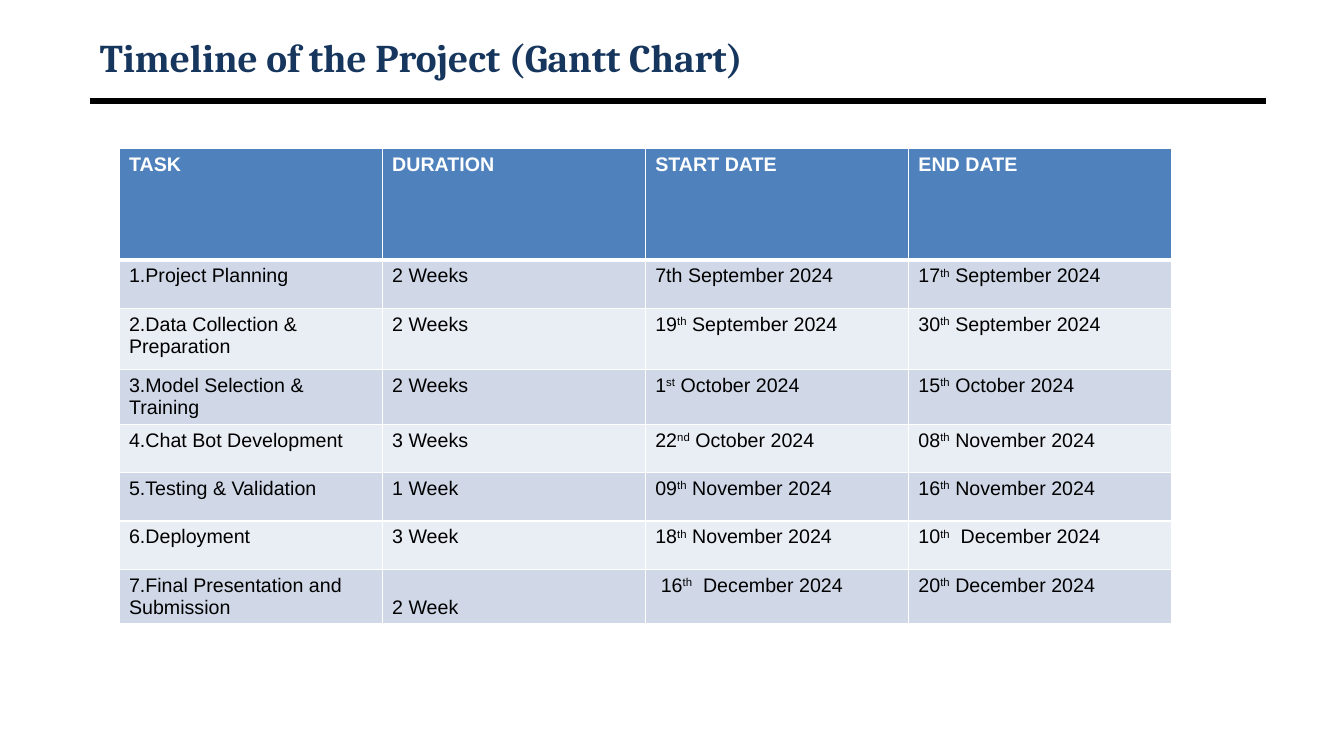
from lxml import etree
from pptx import Presentation
from pptx.dml.color import RGBColor
from pptx.enum.text import MSO_ANCHOR, MSO_AUTO_SIZE, PP_ALIGN
from pptx.enum.shapes import MSO_CONNECTOR
from pptx.oxml.ns import qn
from pptx.util import Inches, Pt

LEFT = PP_ALIGN.LEFT
TOP, MIDDLE, BOTTOM = MSO_ANCHOR.TOP, MSO_ANCHOR.MIDDLE, MSO_ANCHOR.BOTTOM
NO_AUTOFIT = MSO_AUTO_SIZE.NONE
STRAIGHT = MSO_CONNECTOR.STRAIGHT

SCHEDULE = [
    ["TASK", "DURATION", "START DATE", "END DATE"],
    ["1.Project Planning", "2 Weeks", "7th September 2024", "17^th^ September 2024"],
    ["2.Data Collection & Preparation", "2 Weeks", "19^th^ September 2024", "30^th^ September 2024"],
    ["3.Model Selection & Training", "2 Weeks", "1^st^ October 2024", "15^th^ October 2024"],
    ["4.Chat Bot Development", "3 Weeks", "22^nd^ October 2024", "08^th^ November 2024"],
    ["5.Testing & Validation", "1 Week", "09^th^ November 2024", "16^th^ November 2024"],
    ["6.Deployment", "3 Week", "18^th^ November 2024", "10^th^  December 2024"],
    ["7.Final Presentation and Submission", "2 Week", " 16^th^  December 2024", "20^th^ December 2024"],
]
ROW_HEIGHTS = [1.11, 0.48, 0.61, 0.54, 0.48, 0.48, 0.48, 0.54]
COLUMN_WIDTH = 2.61


def color(code):
    return RGBColor.from_string(code)


class TimelineSlide:
    title_font, body_font = "Cambria", "Arial"
    navy, black, white = "17365D", "000000", "FFFFFF"
    header_fill, bands = "4F81BD", ("E9EDF4", "D0D8E8")

    def __init__(self, slide):
        self.slide = slide

    def style_run(self, run, font, size, code, bold):
        run.font.name = font
        run.font.size = Pt(size)
        run.font.color.rgb = color(code)
        run.font.bold = bold

    def title(self, text, left, top, width, height):
        heading = self.slide.shapes.title
        heading.left, heading.top = Inches(left), Inches(top)
        heading.width, heading.height = Inches(width), Inches(height)
        frame = heading.text_frame
        frame.text = text
        frame.auto_size = NO_AUTOFIT
        frame.vertical_anchor = MIDDLE
        frame.paragraphs[0].alignment = LEFT
        self.style_run(frame.paragraphs[0].runs[0], self.title_font, 28, self.navy, True)

    def rule(self, left, right, y, weight):
        rule = self.slide.shapes.add_connector(
            STRAIGHT, Inches(left), Inches(y), Inches(right), Inches(y))
        rule.line.color.rgb = color(self.black)
        rule.line.width = Pt(weight)
        etree.SubElement(rule._element.spPr, qn("a:effectLst"))

    def cell_borders(self, cell, top, bottom):
        properties = cell._tc.get_or_add_tcPr()
        weights = {"a:lnL": 1, "a:lnR": 1, "a:lnT": top, "a:lnB": bottom}
        for index, (side, weight) in enumerate(weights.items()):
            border = etree.Element(qn(side), w=str(Pt(weight)))
            fill = etree.SubElement(border, qn("a:solidFill"))
            etree.SubElement(fill, qn("a:srgbClr"), val=self.white)
            properties.insert(index, border)

    def cell_text(self, cell, text, code, bold):
        paragraph = cell.text_frame.paragraphs[0]
        for index, part in enumerate(text.split("^")):
            run = paragraph.add_run()
            run.text = part
            self.style_run(run, self.body_font, 14, code, bold)
            if index % 2:
                run.font._element.set("baseline", "30000")

    def table(self, rows, left, top, column_width, row_heights):
        columns = len(rows[0])
        table = self.slide.shapes.add_table(
            len(rows), columns, Inches(left), Inches(top),
            Inches(column_width * columns), Inches(sum(row_heights))).table
        for column in table.columns:
            column.width = Inches(column_width)
        for r, (texts, height) in enumerate(zip(rows, row_heights)):
            header = r == 0
            table.rows[r].height = Inches(height)
            for c, text in enumerate(texts):
                cell = table.cell(r, c)
                cell.fill.solid()
                cell.fill.fore_color.rgb = color(self.header_fill if header else self.bands[r % 2])
                cell.vertical_anchor = TOP
                self.cell_borders(cell, 3 if r == 1 else 1, 3 if header else 1)
                self.cell_text(cell, text, self.white if header else self.black, header)
        return table


def main():
    deck = Presentation()
    deck.slide_width, deck.slide_height = Inches(13.33), Inches(7.5)
    timeline = TimelineSlide(deck.slides.add_slide(deck.slide_layouts[5]))
    timeline.rule(0.89, 12.56, 1, 4.5)
    timeline.title("Timeline of the Project (Gantt Chart)", 0.89, 0.3, 11.67, 0.53)
    schedule = timeline.table(SCHEDULE, 1.18, 1.47, COLUMN_WIDTH, ROW_HEIGHTS)
    schedule.cell(7, 1).vertical_anchor = BOTTOM
    deck.save("out.pptx")


if __name__ == "__main__":
    main()
